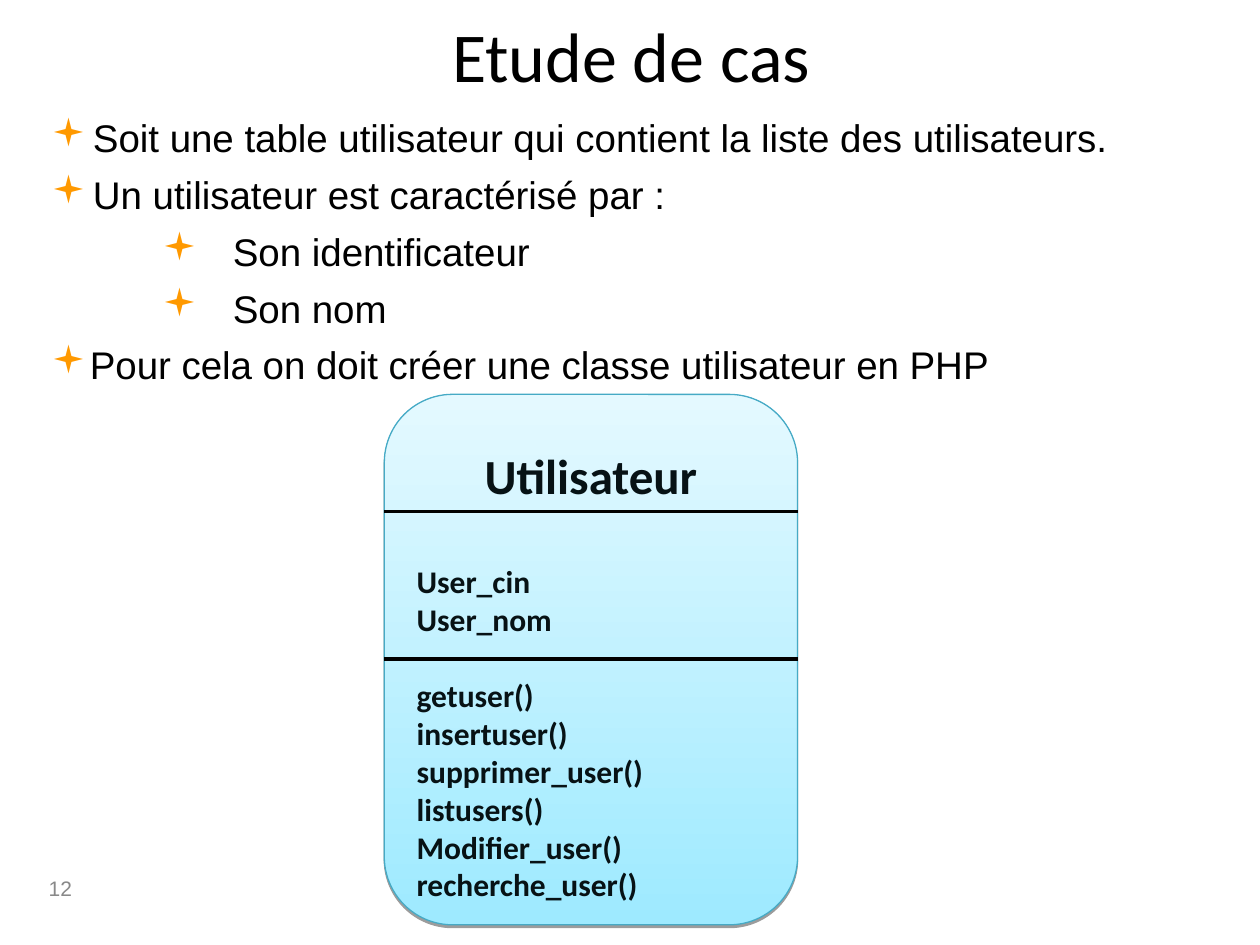
from lxml.etree import SubElement
from pptx import Presentation
from pptx.dml.color import RGBColor
from pptx.enum.shapes import MSO_CONNECTOR, MSO_SHAPE
from pptx.enum.text import MSO_ANCHOR as ANCHOR, PP_ALIGN as ALIGN
from pptx.oxml.ns import qn
from pptx.util import Inches, Pt

COLORS = {
    "text": "000000", "number": "898989", "bullet": "FF9900",
    "class_text": "071215", "class_edge": "46AAC5",
    "class_bottom": "9EEAFF", "class_top": "E4F9FF", "shadow": "000000",
}

# Text, left margin, hanging indent (inches), level
BULLETS = [
    ("Soit une table utilisateur qui contient la liste des utilisateurs.", 0.33, 0.33, 0),
    ("Un utilisateur est caractérisé par :", 0.33, 0.33, 0),
    ("Son identificateur", 1.44, 0.56, 2),
    ("Son nom", 1.44, 0.56, 2),
    ("Pour cela on doit créer une classe utilisateur en PHP", 0.24, 0.24, 0),
]
ATTRIBUTES = ["User_cin", "User_nom"]
METHODS = ["getuser()", "insertuser()", "supprimer_user()",
           "listusers()", "Modifier_user()", "recherche_user()"]
CLASS_LEFT, CLASS_TOP, CLASS_W, CLASS_H = 3.05, 3.13, 3.28, 4.21


def color(name):
    return RGBColor.from_string(COLORS[name])


def add_run(p, text, size, font, color_name, bold=False):
    r = p.add_run()
    r.text = text
    r.font.size = Pt(size)
    r.font.name = font
    r.font.bold = bold
    r.font.color.rgb = color(color_name)


def add_box(s, left, top, width, height, anchor=ANCHOR.TOP):
    box = s.shapes.add_textbox(Inches(left), Inches(top), Inches(width), Inches(height))
    tf = box.text_frame
    tf.word_wrap = True
    tf.vertical_anchor = anchor
    return tf


def next_paragraph(tf):
    first = tf.paragraphs[0]
    return tf.add_paragraph() if first.runs else first


def add_label(s, place, text, size, font, color_name, align):
    p = add_box(s, *place, anchor=ANCHOR.MIDDLE).paragraphs[0]
    p.alignment = align
    add_run(p, text, size, font, color_name)


def set_bullet(p, margin, hanging):
    pPr = p._p.get_or_add_pPr()
    pPr.set("marL", str(Inches(margin)))
    pPr.set("indent", str(-Inches(hanging)))
    clr = SubElement(pPr, qn("a:buClr"))
    SubElement(clr, qn("a:srgbClr"), val=COLORS["bullet"])
    SubElement(pPr, qn("a:buFont"), typeface="Wingdings")
    SubElement(pPr, qn("a:buChar"), char="▪")


def add_bullets(s):
    tf = add_box(s, 0.31, 0.86, 9.37, 2.3)
    for text, margin, hanging, level in BULLETS:
        p = next_paragraph(tf)
        p.level = level
        p.alignment = ALIGN.JUSTIFY
        p.space_after = Pt(6)
        set_bullet(p, margin, hanging)
        add_run(p, text, 22, "Arial", "text")


def add_shadow(shape):
    effects = SubElement(shape._element.spPr, qn("a:effectLst"))
    shadow = SubElement(effects, qn("a:outerShdw"), blurRad="0", dist=str(Pt(1.6)),
                        dir="5400000", rotWithShape="0")
    clr = SubElement(shadow, qn("a:srgbClr"), val=COLORS["shadow"])
    SubElement(clr, qn("a:alpha"), val="38000")


def add_class_box(s):
    shape = s.shapes.add_shape(MSO_SHAPE.ROUNDED_RECTANGLE, Inches(CLASS_LEFT),
                               Inches(CLASS_TOP), Inches(CLASS_W), Inches(CLASS_H))
    shape.adjustments[0] = 0.165
    shape.fill.gradient()
    shape.fill.gradient_angle = 90
    for stop, name in zip(shape.fill.gradient_stops, ("class_bottom", "class_top")):
        stop.color.rgb = color(name)
    shape.line.color.rgb = color("class_edge")
    shape.line.width = Pt(0.75)
    add_shadow(shape)

    tf = shape.text_frame
    tf.word_wrap = True
    tf.vertical_anchor = ANCHOR.TOP
    tf.margin_top = Inches(0.25)
    # Name, then attributes and methods, each group after a gap
    for names, size, align, gap in (
        (["Utilisateur"], 28, ALIGN.CENTER, 0),
        (ATTRIBUTES, 18, ALIGN.LEFT, 33),
        (METHODS, 18, ALIGN.LEFT, 22),
    ):
        for i, name in enumerate(names):
            p = next_paragraph(tf)
            p.alignment = align
            p.space_before = Pt(0 if i else gap)
            add_run(p, name, size, "Calibri", "class_text", bold=True)


def add_divider(s, y):
    line = s.shapes.add_connector(MSO_CONNECTOR.STRAIGHT, Inches(CLASS_LEFT), Inches(y),
                                  Inches(CLASS_LEFT + CLASS_W), Inches(y))
    line.line.color.rgb = color("text")
    line.line.width = Pt(2)
    SubElement(line._element.spPr, qn("a:effectLst"))


def main():
    prs = Presentation()
    prs.slide_width, prs.slide_height = Inches(10), Inches(7.5)
    s = prs.slides.add_slide(prs.slide_layouts[6])

    # Title and slide number
    add_label(s, (0.51, 0.08, 9, 0.71), "Etude de cas", 40, "Calibri", "text", ALIGN.CENTER)
    add_label(s, (0.07, 6.8, 0.6, 0.5), "12", 12, "Arial", "number", ALIGN.RIGHT)

    # Description
    add_bullets(s)

    # Class diagram
    add_class_box(s)
    for y in (4.06, 5.23):
        add_divider(s, y)

    prs.save("out.pptx")


if __name__ == "__main__":
    main()
